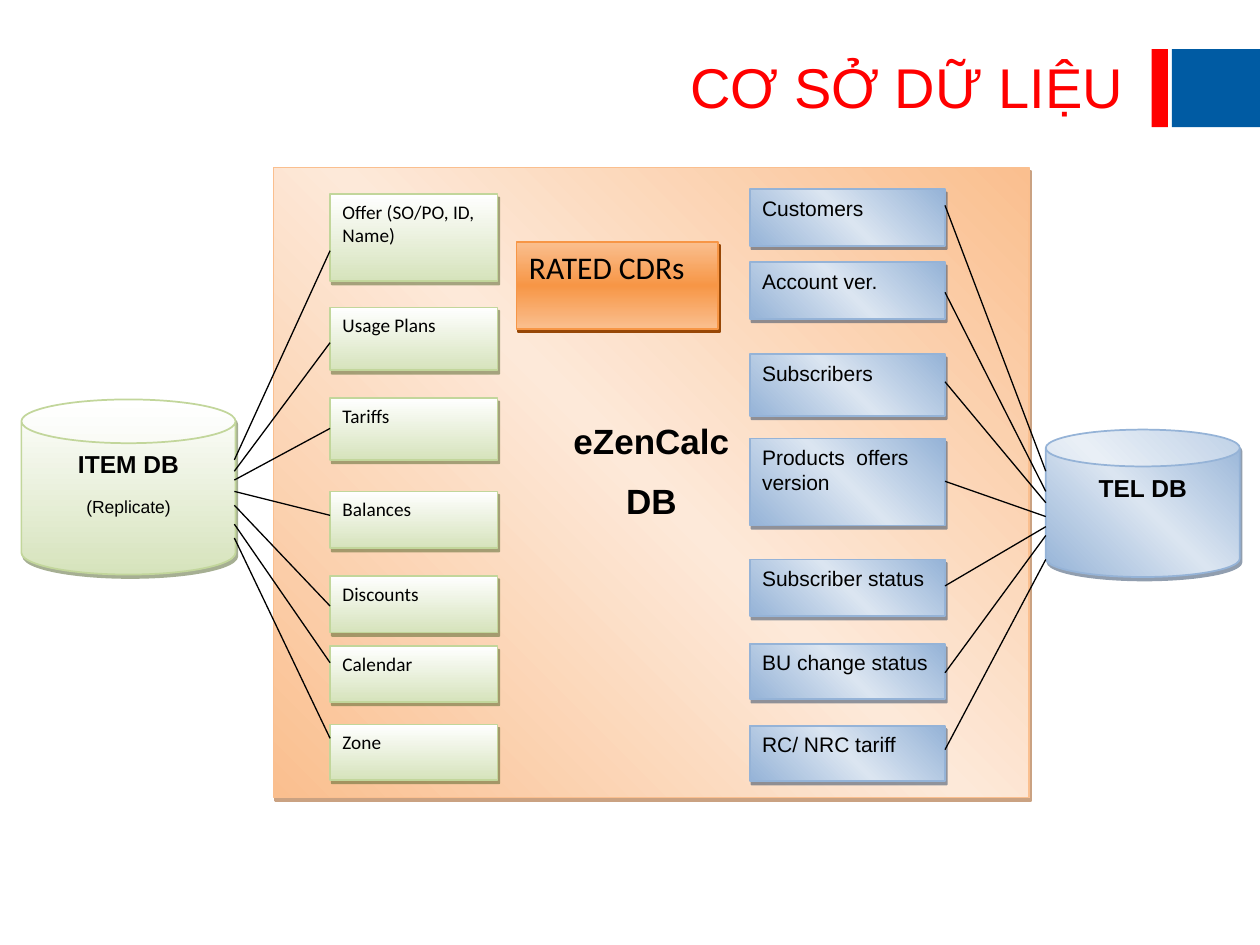
from dataclasses import dataclass

from lxml import etree
from pptx import Presentation
from pptx.dml.color import RGBColor
from pptx.enum import shapes, text
from pptx.oxml import ns
from pptx.util import Inches, Pt


@dataclass(frozen=True)
class Paint:
    stops: tuple
    angle: int  # counter-clockwise degrees
    line: str
    shadow: str
    shadow_alpha: int = 50


@dataclass(frozen=True)
class Theme:
    red: str = "FF0000"
    blue: str = "005BA3"
    ink: str = "000000"
    title: int = 32
    panel: int = 20
    rated: int = 18
    store: int = 14
    customer: int = 12
    catalog: int = 11
    note: int = 10
    heading_font: str = "Arial"
    body_font: str = "Calibri"
    peach: Paint = Paint(("FABF8F", "FDE9D9", "FABF8F"), 45, "FABF8F", "974706")
    orange: Paint = Paint(("FABF8F", "F79646", "FABF8F"), 270, "F79646", "974706", 100)
    green: Paint = Paint(("FFFFFF", "D6E3BC"), 270, "C2D69B", "4E6128")
    sky: Paint = Paint(("95B3D7", "DBE5F1", "95B3D7"), 45, "95B3D7", "243F60")


THEME = Theme()
RECT = shapes.MSO_SHAPE.RECTANGLE
CAN = shapes.MSO_SHAPE.CAN
CENTER = text.PP_ALIGN.CENTER

# Label, box top, box height, line end at the box, line end at the store
CATALOG_ROWS = [
    ("Offer (SO/PO, ID, Name)", 1.54, 0.69, 1.99, 3.65),
    ("Usage Plans", 2.44, 0.5, 2.72, 3.74),
    ("Tariffs", 3.16, 0.49, 3.4, 3.81),
    ("Balances", 3.9, 0.45, 4.09, 3.9),
    ("Discounts", 4.57, 0.45, 4.81, 4.01),
    ("Calendar", 5.13, 0.44, 5.26, 4.16),
    ("Zone", 5.75, 0.44, 5.86, 4.27),
]
CUSTOMER_ROWS = [
    ("Customers", 1.5, 0.45, 1.63, 3.74),
    ("Account ver.", 2.08, 0.45, 2.32, 3.9),
    ("Subscribers", 2.81, 0.49, 3.03, 3.99),
    ("Products  offers version", 3.48, 0.69, 3.82, 4.1),
    ("Subscriber status", 4.44, 0.45, 4.65, 4.18),
    ("BU change status", 5.11, 0.44, 5.34, 4.25),
    ("RC/ NRC tariff", 5.76, 0.44, 5.95, 4.44),
]


def write(tf, words, size, font=THEME.heading_font, color=THEME.ink, bold=False,
          align=text.PP_ALIGN.LEFT, after=10):
    """Fill the first paragraph if it is empty, otherwise add one."""
    p = tf.paragraphs[-1]
    if p.runs:
        p = tf.add_paragraph()
    p.alignment = align
    p.space_after = Pt(after)
    r = p.add_run()
    r.text = words
    r.font.size = Pt(size)
    r.font.name = font
    r.font.bold = bold
    r.font.color.rgb = RGBColor.from_string(color)


def add_block(slide, kind, box):
    sp = slide.shapes.add_shape(kind, *map(Inches, box))
    sp.shadow.inherit = False
    tf = sp.text_frame
    tf.word_wrap = True
    tf.vertical_anchor = text.MSO_ANCHOR.TOP
    return sp


def add_color(parent, color):
    return etree.SubElement(parent, ns.qn("a:srgbClr"), val=color)


def add_painted(slide, kind, box, paint):
    """Add a shape with a gradient, a thin outline and a hard shadow."""
    sp = add_block(slide, kind, box)
    sp.fill.gradient()
    sp.fill.gradient_angle = paint.angle
    props = sp.element.spPr
    stops = props.find(".//" + ns.qn("a:gsLst"))
    for stop in list(stops):
        stops.remove(stop)
    for i, color in enumerate(paint.stops):
        pos = 100000 * i // (len(paint.stops) - 1)
        add_color(etree.SubElement(stops, ns.qn("a:gs"), pos=str(pos)), color)
    sp.line.color.rgb = RGBColor.from_string(paint.line)
    sp.line.width = Pt(1)
    shadow = etree.SubElement(
        props.find(ns.qn("a:effectLst")), ns.qn("a:outerShdw"), blurRad="0",
        dist=str(int(Pt(2.2))), dir=str(63 * 60000), algn="ctr", rotWithShape="0")
    etree.SubElement(add_color(shadow, paint.shadow), ns.qn("a:alpha"),
                     val=str(paint.shadow_alpha * 1000))
    return sp


def add_line(slide, start, end):
    line = slide.shapes.add_connector(
        shapes.MSO_CONNECTOR.STRAIGHT, *map(Inches, (*start, *end)))
    line.line.color.rgb = RGBColor.from_string(THEME.ink)
    line.line.width = Pt(0.75)
    etree.SubElement(line.element.spPr, ns.qn("a:effectLst"))


def add_header(slide, box):
    top = box[1]
    for x, w, color in ((9.14, 0.13, THEME.red), (9.3, 0.7, THEME.blue)):
        bar = add_block(slide, RECT, (x, top + 0.09, w, 0.62))
        bar.fill.solid()
        bar.fill.fore_color.rgb = RGBColor.from_string(color)
        bar.line.fill.background()
    title = slide.shapes.title
    title.left, title.top, title.width, title.height = map(Inches, box)
    title.text_frame.vertical_anchor = text.MSO_ANCHOR.MIDDLE
    write(title.text_frame, "CƠ SỞ DỮ LIỆU", THEME.title, color=THEME.red,
          align=text.PP_ALIGN.RIGHT, after=0)


def add_rating_panel(slide, box):
    left, top = box[:2]
    tf = add_painted(slide, RECT, box, THEME.peach).text_frame
    tf.margin_top = Inches(2)
    for words in ("eZenCalc", "DB"):
        write(tf, words, THEME.panel, bold=True, align=CENTER)
    rated = add_painted(slide, RECT, (left + 1.93, top + 0.59, 1.6, 0.69), THEME.orange)
    write(rated.text_frame, "RATED CDRs", THEME.rated, font=THEME.body_font)


def add_store(slide, box, paint, name, note=None):
    tf = add_painted(slide, CAN, box, paint).text_frame
    write(tf, name, THEME.store, bold=True, align=CENTER)
    if note:
        write(tf, note, THEME.note, align=CENTER)


def add_entities(slide, left, width, rows, paint, size, font, box_x, store_x):
    """Add a column of boxes, each tied by a line to its store."""
    for words, top, height, box_y, store_y in rows:
        sp = add_painted(slide, RECT, (left, top, width, height), paint)
        write(sp.text_frame, words, size, font=font)
        add_line(slide, (store_x, store_y), (box_x, box_y))


def main():
    prs = Presentation()
    prs.slide_width, prs.slide_height = Inches(10), Inches(7.5)
    slide = prs.slides.add_slide(prs.slide_layouts.get_by_name("Title Only"))
    add_header(slide, (0.5, 0.3, 8.52, 0.77))
    add_rating_panel(slide, (2.17, 1.33, 6, 5))
    add_store(slide, (0.17, 3.17, 1.7, 1.39), THEME.green, "ITEM DB", "(Replicate)")
    add_entities(slide, 2.62, 1.33, CATALOG_ROWS, THEME.green, THEME.catalog,
                 THEME.body_font, box_x=2.62, store_x=1.86)
    add_store(slide, (8.3, 3.41, 1.54, 1.17), THEME.sky, "TEL DB")
    add_entities(slide, 5.95, 1.55, CUSTOMER_ROWS, THEME.sky, THEME.customer,
                 THEME.heading_font, box_x=7.5, store_x=8.3)
    prs.save("out.pptx")


if __name__ == "__main__":
    main()
